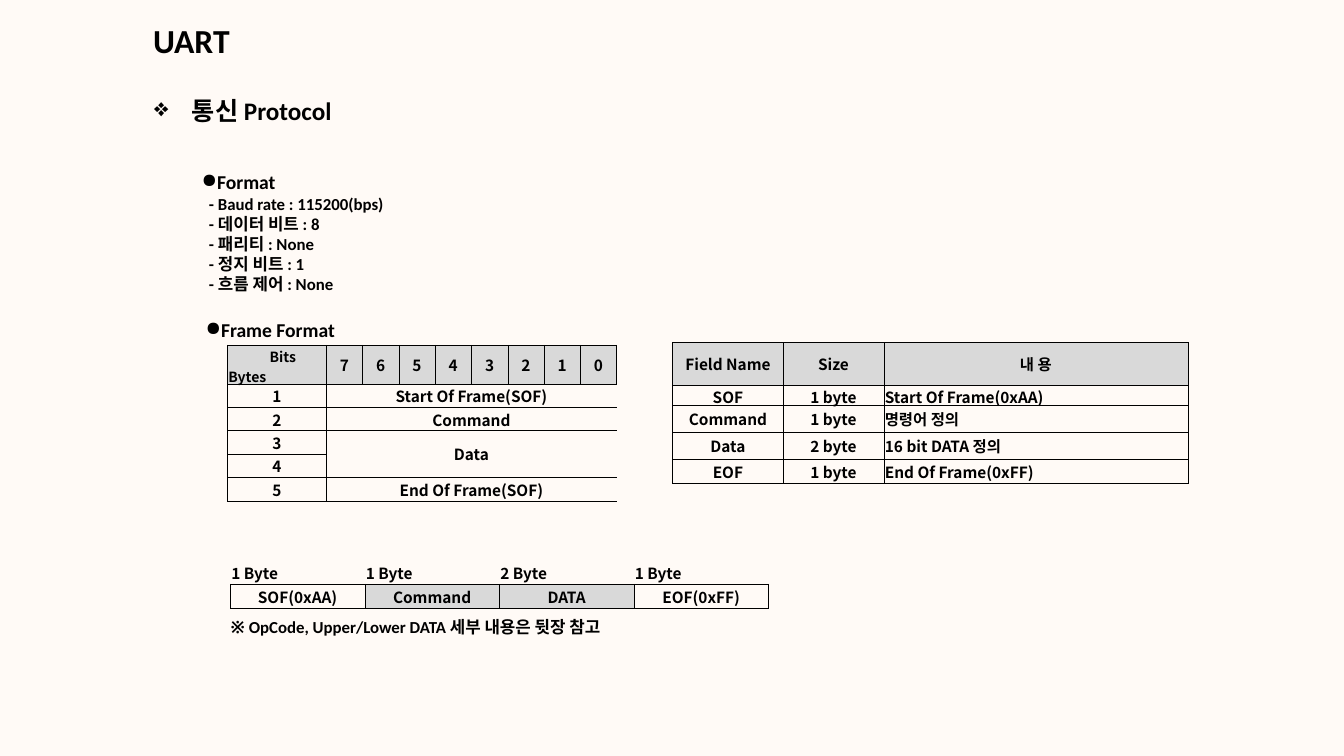
import dataclasses
import itertools

import lxml.etree
import pptx
import pptx.dml.color
import pptx.enum.text
import pptx.oxml.ns
import pptx.util

Cm = pptx.util.Cm
Pt = pptx.util.Pt
qn = pptx.oxml.ns.qn
ALIGN = pptx.enum.text.PP_ALIGN
FIT = pptx.enum.text.MSO_AUTO_SIZE
MIDDLE = pptx.enum.text.MSO_ANCHOR.MIDDLE
PLAIN = "{2D5ABB26-0587-4C30-8999-92F81FD0307C}"  # table style without grid


@dataclasses.dataclass(frozen=True)
class Theme:
    paper: str = "FFFAF6"
    ink: str = "000000"
    shade: str = "D9D9D9"
    font: str = "Calibri"
    grid_font: str = "Noto Sans CJK KR"
    title: int = 48
    topic: int = 36
    head: int = 28
    body: int = 24
    cell: int = 22
    corner: int = 20
    thick: float = 1
    thin: float = 0.5


THEME = Theme()


def color(code):
    return pptx.dml.color.RGBColor.from_string(code)


def add_run(para, text, size, font=THEME.font):
    run = para.add_run()
    run.text = text
    run.font.size = Pt(size)
    run.font.bold = True
    run.font.name = font
    run.font.color.rgb = color(THEME.ink)
    east = lxml.etree.SubElement(run.font._element, qn("a:ea"))
    east.set("typeface", THEME.grid_font)


def indent(para, left, first=0, mark=None):
    props = para._p.get_or_add_pPr()
    props.set("marL", str(Cm(left)))
    props.set("indent", str(Cm(first)))
    if mark:
        lxml.etree.SubElement(props, qn("a:buChar")).set("char", mark)


def add_box(slide, left, top, width, height, wrap=True):
    box = slide.shapes.add_textbox(Cm(left), Cm(top), Cm(width), Cm(height))
    frame = box.text_frame
    frame.word_wrap = wrap
    frame.auto_size = FIT.NONE if wrap else FIT.SHAPE_TO_FIT_TEXT
    return frame


def add_head(para, text):
    """Round bullet and a section name."""
    para.alignment = ALIGN.JUSTIFY
    para.line_spacing = 1.6
    indent(para, 0.78, -0.78, "●")
    add_run(para, text, THEME.head)


def add_edge(cell, side, width):
    props = cell._tc.get_or_add_tcPr()
    line = lxml.etree.SubElement(props, qn("a:ln" + side))
    line.set("w", str(Pt(width)))
    fill = lxml.etree.SubElement(line, qn("a:solidFill"))
    lxml.etree.SubElement(fill, qn("a:srgbClr")).set("val", THEME.ink)


def draw_edges(table, row, col, thick_rows, thick_cols):
    """Outline a cell, or the whole area that it spans."""
    cell = table.cell(row, col)
    end_row = row + (cell.span_height if cell.is_merge_origin else 1)
    end_col = col + (cell.span_width if cell.is_merge_origin else 1)
    for r, c in itertools.product(range(row, end_row), range(col, end_col)):
        sides = (("L", c, col, thick_cols), ("R", c + 1, end_col, thick_cols),
                 ("T", r, row, thick_rows), ("B", r + 1, end_row, thick_rows))
        for side, edge, limit, heavy in sides:
            if edge == limit:
                width = THEME.thick if edge in heavy else THEME.thin
                add_edge(table.cell(r, c), side, width)


def add_grid(slide, left, top, cols, rows, texts, shaded, thick_rows,
             thick_cols, merges=(), lefts=(), bare=()):
    """texts, shaded and lefts are keyed by (row, column)."""
    shape = slide.shapes.add_table(len(rows), len(cols), Cm(left), Cm(top),
                                   Cm(sum(cols)), Cm(sum(rows)))
    table = shape.table
    table.first_row = table.horz_banding = False
    table._tbl.tblPr.find(qn("a:tableStyleId")).text = PLAIN
    for item, width in zip(table.columns, cols):
        item.width = Cm(width)
    for item, height in zip(table.rows, rows):
        item.height = Cm(height)
    for first, last in merges:
        table.cell(*first).merge(table.cell(*last))

    for spot in itertools.product(range(len(rows)), range(len(cols))):
        cell = table.cell(*spot)
        if not cell.is_spanned and spot[0] not in bare:
            draw_edges(table, *spot, thick_rows, thick_cols)
        if spot in shaded:
            cell.fill.solid()
            cell.fill.fore_color.rgb = color(THEME.shade)
        else:
            cell.fill.background()
        cell.vertical_anchor = MIDDLE
        cell.margin_left = cell.margin_right = cell.margin_top = Cm(0.05)
        cell.margin_bottom = 0
        if spot in texts:
            para = cell.text_frame.paragraphs[0]
            para.alignment = ALIGN.LEFT if spot in lefts else ALIGN.CENTER
            add_run(para, texts[spot], THEME.cell, THEME.grid_font)
    return table


def key_rows(lines):
    return {(r, c): text for r, line in enumerate(lines)
            for c, text in enumerate(line)}


def add_frame(slide):
    """Bits across, bytes down."""
    texts = {(0, bit + 1): str(7 - bit) for bit in range(8)}
    texts.update({(row, 0): str(row) for row in range(1, 6)})
    texts.update({(1, 1): "Start Of Frame(SOF)", (2, 1): "Command",
                  (3, 1): "Data", (5, 1): "End Of Frame(SOF)"})
    merges = [((a, 1), (b, 8)) for a, b in ((1, 1), (2, 2), (3, 4), (5, 5))]
    table = add_grid(slide, 11.46, 17.4, [4.98] + [1.83] * 8,
                     [1.96] + [1.17] * 4 + [1.22], texts,
                     {(0, c) for c in range(9)}, {0, 1}, {0, 1, 9}, merges)
    corner = table.cell(0, 0).text_frame
    bits = corner.paragraphs[0]
    indent(bits, 2.08)
    add_run(bits, "Bits", THEME.corner, THEME.grid_font)
    add_run(corner.add_paragraph(), "Bytes", THEME.corner, THEME.grid_font)
    corner.paragraphs[1].alignment = bits.alignment = ALIGN.LEFT


def add_fields(slide):
    lines = [("Field Name", "Size", "내 용"),
             ("SOF", "1 byte", "Start Of Frame(0xAA)"),
             ("Command", "1 byte", "명령어 정의"),
             ("Data", "2 byte", "16 bit DATA 정의"),
             ("EOF", "1 byte", "End Of Frame(0xFF)")]
    add_grid(slide, 33.91, 17.27, [5.56, 5.08, 15.32],
             [2.13, 1.02, 1.35, 1.35, 1.24], key_rows(lines),
             {(0, c) for c in range(3)}, {0, 1}, {0, 3},
             lefts={(r, 2) for r in range(1, 5)})


def add_bytes(slide):
    lines = [("1 Byte", "1 Byte", "2 Byte", "1 Byte"),
             ("SOF(0xAA)", "Command", "DATA", "EOF(0xFF)")]
    add_grid(slide, 11.61, 28.22, [6.78] * 4, [1.22] * 2, key_rows(lines),
             {(1, 1), (1, 2)}, {1, 2}, set(range(5)),
             lefts={(0, c) for c in range(4)}, bare={0})


def main():
    deck = pptx.Presentation()
    deck.slide_width, deck.slide_height = Cm(67.74), Cm(38.1)
    slide = deck.slides.add_slide(deck.slide_layouts[6])
    slide.background.fill.solid()
    slide.background.fill.fore_color.rgb = color(THEME.paper)

    # Title and topic
    title = add_box(slide, 7.47, 0.89, 4.42, 2.31, wrap=False)
    add_run(title.paragraphs[0], "UART", THEME.title)
    topic = add_box(slide, 7.52, 4.24, 29.97, 2.9).paragraphs[0]
    topic.line_spacing = 1.3
    topic.space_before = Pt(7.2)
    indent(topic, 1.9, -1.9, "❖")
    add_run(topic, "통신 Protocol", THEME.topic)

    # Port settings
    port = add_box(slide, 9.91, 7.72, 27.51, 7.29)
    add_head(port.paragraphs[0], "Format")
    for text in ("Baud rate : 115200(bps)", "데이터 비트 : 8", "패리티 : None",
                 "정지 비트 : 1", "흐름 제어 : None"):
        para = port.add_paragraph()
        para.alignment = ALIGN.JUSTIFY
        indent(para, 0.37)
        add_run(para, "- " + text, THEME.body)

    # Frame layout
    add_head(add_box(slide, 10.11, 15.21, 27.51, 1.96).paragraphs[0],
             "Frame Format")
    add_frame(slide)
    add_fields(slide)
    add_bytes(slide)
    note = add_box(slide, 11.38, 30.96, 19.89, 1.27, wrap=False)
    add_run(note.paragraphs[0],
            "※ OpCode, Upper/Lower DATA 세부 내용은 뒷장 참고", THEME.body)

    deck.save("out.pptx")


main()
